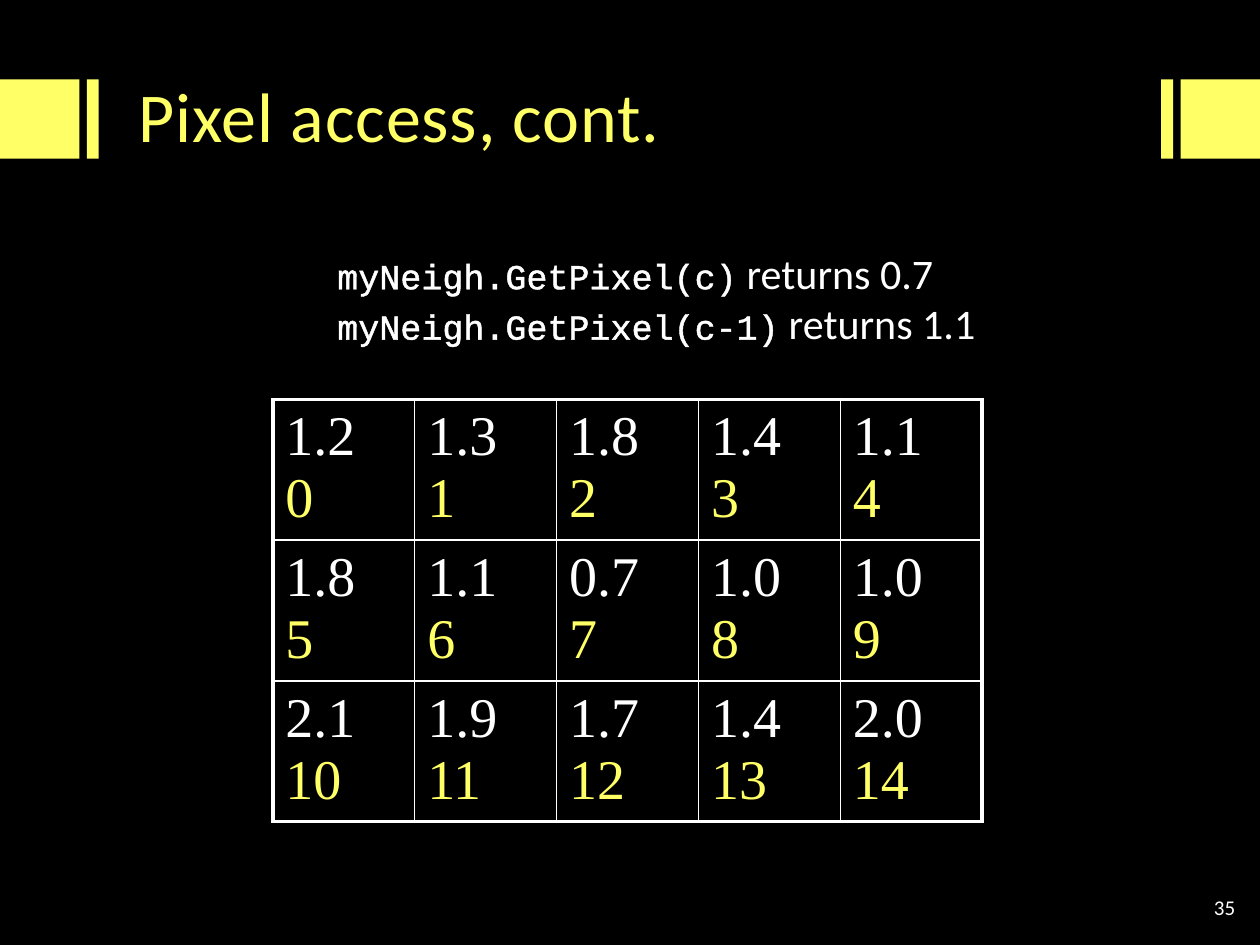
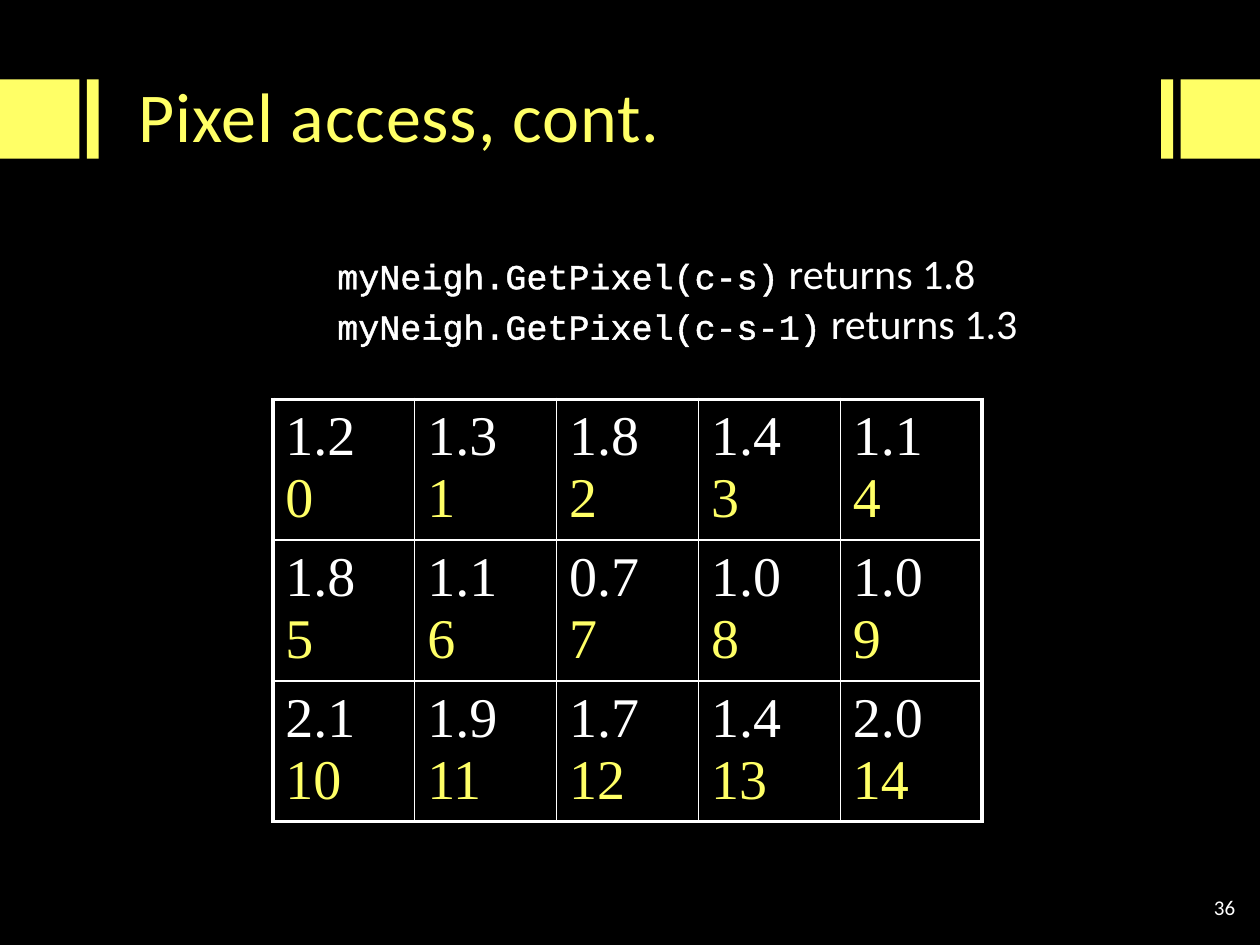
from pptx import Presentation
from pptx import util as u
from pptx.dml import color
from pptx.enum import shapes, text
from pptx.oxml import ns
from lxml import etree

HUES = {"back": "000000", "ink": "FFFFFF", "mark": "FFFF66"}
SANS, MONO, SERIF = "Calibri", "Courier New", "Times New Roman"
TITLE = "Pixel access, cont."
PAGES = [
    (35, [("myNeigh.GetPixel(c)", " returns 0.7"),
          ("myNeigh.GetPixel(c-1)", " returns 1.1")], 13.5),
    (36, [("myNeigh.GetPixel(c-s)", " returns 1.8"),
          ("myNeigh.GetPixel(c-s-1)", " returns 1.3")], 14.4),
]
PIXELS = [
    ["1.2", "1.3", "1.8", "1.4", "1.1"],
    ["1.8", "1.1", "0.7", "1.0", "1.0"],
    ["2.1", "1.9", "1.7", "1.4", "2.0"],
]
WIDE, HIGH = 25.4, 19.05
BARS = [(0, 1.6), (1.75, 0.24)]
BAR_TOP, BAR_HIGH = 1.6, 1.6
COL, ROW = 2.86, 2.82
THIN, THICK = 1, 2.25


def cms(*sizes):
    return [u.Cm(size) for size in sizes]


def rgb(hue):
    return color.RGBColor.from_string(HUES[hue])


def add_run(para, words, size, face, hue="ink"):
    run = para.add_run()
    run.text = words
    run.font.size = u.Pt(size)
    run.font.name = face
    run.font.color.rgb = rgb(hue)
    return run.font._element


def make_line(tag, width):
    line = etree.Element(ns.qn(tag), w=str(u.Pt(width)))
    fill = etree.SubElement(line, ns.qn("a:solidFill"))
    etree.SubElement(fill, ns.qn("a:srgbClr"), val=HUES["ink"])
    return line


def add_bars(slide):
    for left, width in BARS:
        for x in (left, WIDE - left - width):
            bar = slide.shapes.add_shape(shapes.MSO_SHAPE.RECTANGLE,
                                         *cms(x, BAR_TOP, width, BAR_HIGH))
            bar.shadow.inherit = False
            bar.fill.solid()
            bar.fill.fore_color.rgb = rgb("mark")
            bar.line.fill.background()


def add_title(slide):
    title = slide.shapes.title
    title.left, title.top, title.width, title.height = cms(2.54, 0.74, 20.32, 3.15)
    frame = title.text_frame
    frame.vertical_anchor = text.MSO_ANCHOR.MIDDLE
    para = frame.paragraphs[0]
    para.alignment = text.PP_ALIGN.LEFT
    add_run(para, TITLE, 40, SANS, "mark").set("spc", "50")


def add_number(slide, number):
    frame = slide.shapes.add_textbox(*cms(22.61, 17.78, 2.54, 1.02)).text_frame
    frame.word_wrap = True
    frame.vertical_anchor = text.MSO_ANCHOR.MIDDLE
    para = frame.paragraphs[0]
    para.alignment = text.PP_ALIGN.RIGHT
    add_run(para, str(number), 12, SANS)


def add_calls(slide, calls, width):
    frame = slide.shapes.add_textbox(*cms(6.55, 4.86, width, 2.31)).text_frame
    frame.word_wrap = False
    frame.auto_size = text.MSO_AUTO_SIZE.SHAPE_TO_FIT_TEXT
    for i, (code, result) in enumerate(calls):
        para = frame.add_paragraph() if i else frame.paragraphs[0]
        add_run(para, code, 20, MONO).insert(0, make_line("a:ln", 1.45))
        add_run(para, result, 24, SANS)


def add_grid(slide):
    rows, cols = len(PIXELS), len(PIXELS[0])
    table = slide.shapes.add_table(
        rows, cols, *cms(5.5, 8.05, COL * cols, ROW * rows)).table
    table.first_row = table.horz_banding = False
    for r, row in enumerate(PIXELS):
        for c, value in enumerate(row):
            cell = table.cell(r, c)
            cell.margin_bottom = 0
            props = cell._tc.get_or_add_tcPr()
            edges = {"L": c == 0, "R": c == cols - 1,
                     "T": r == 0, "B": r == rows - 1}
            for side, outer in edges.items():
                props.append(make_line("a:ln" + side, THICK if outer else THIN))
            cell.fill.background()
            frame = cell.text_frame
            add_run(frame.paragraphs[0], value, 32, SERIF)
            add_run(frame.add_paragraph(), str(r * cols + c), 32, SERIF, "mark")


def main():
    deck = Presentation()
    deck.slide_width, deck.slide_height = cms(WIDE, HIGH)
    back = deck.slide_master.background.fill
    back.solid()
    back.fore_color.rgb = rgb("back")
    for number, calls, width in PAGES:
        slide = deck.slides.add_slide(deck.slide_layouts[5])
        add_bars(slide)
        add_title(slide)
        add_number(slide, number)
        add_grid(slide)
        add_calls(slide, calls, width)
    deck.save("out.pptx")


if __name__ == "__main__":
    main()
